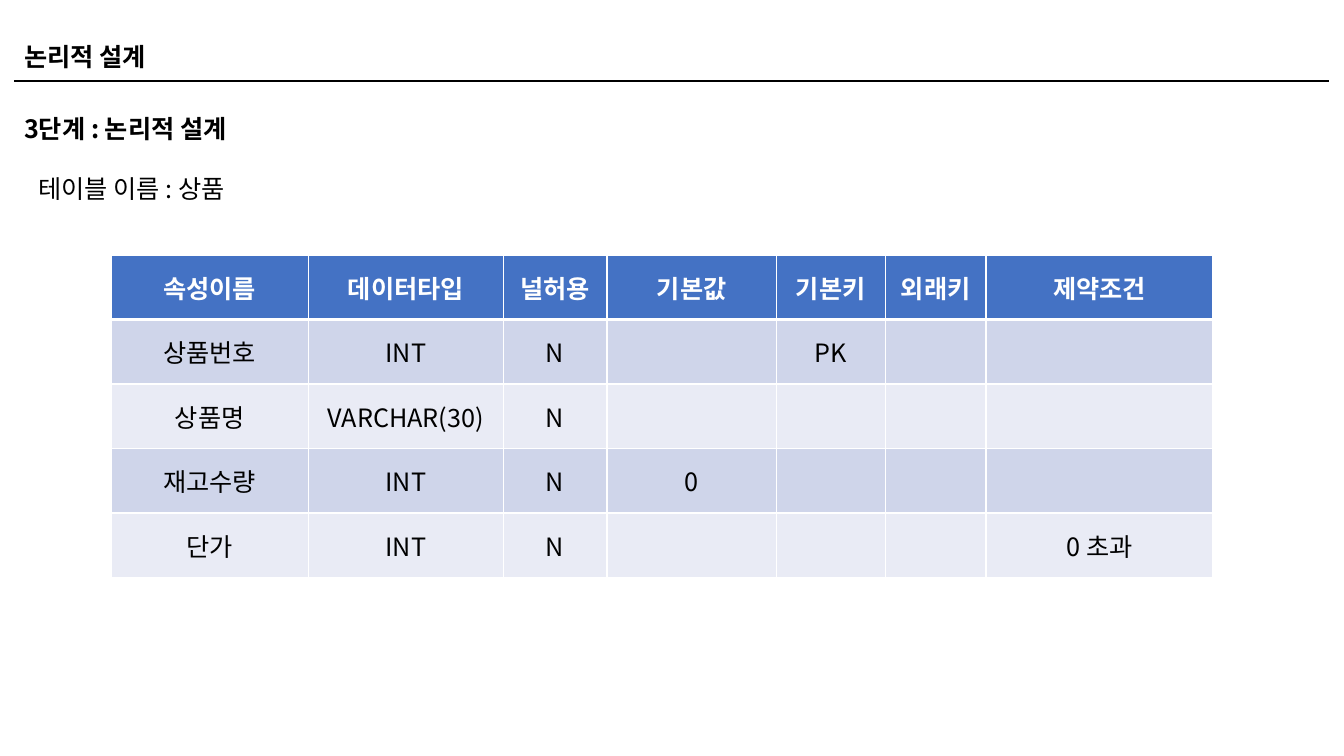
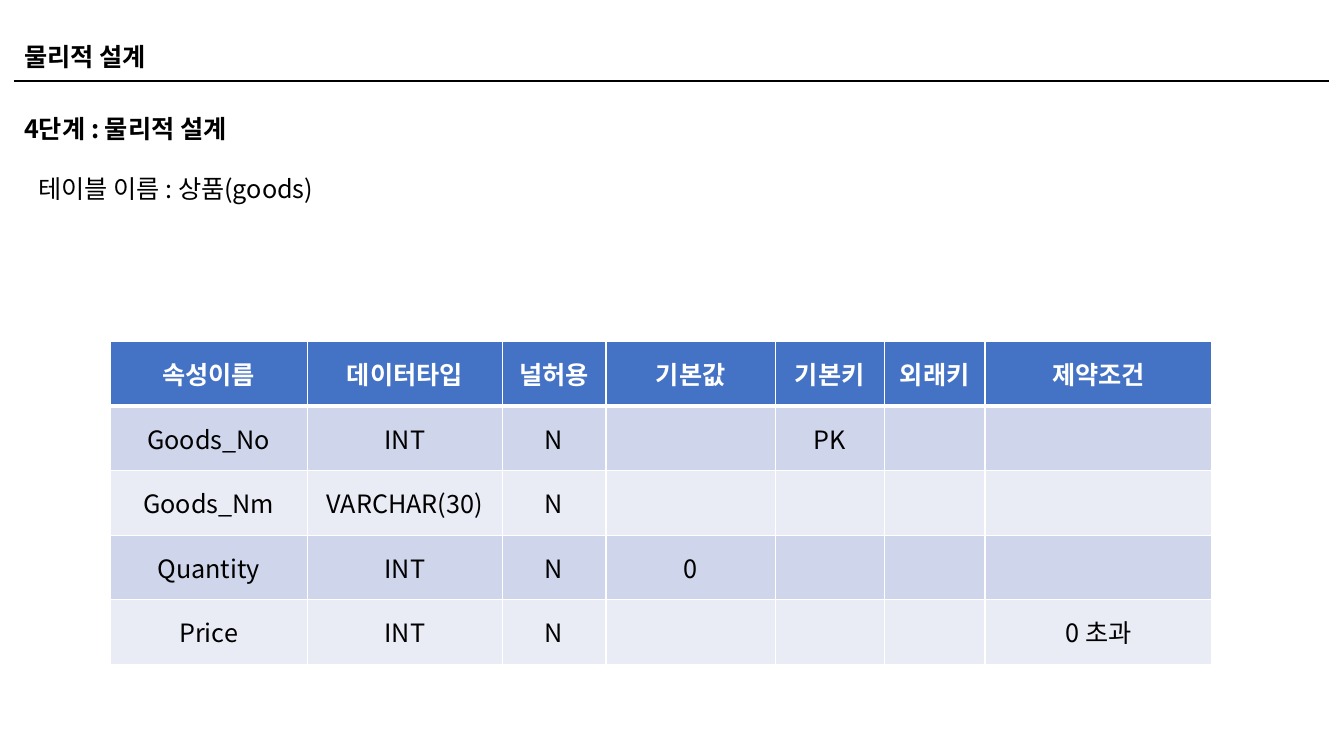
from lxml import etree
from pptx import Presentation
from pptx.dml.color import RGBColor
from pptx.enum.shapes import MSO_CONNECTOR
from pptx.enum.text import MSO_ANCHOR, PP_ALIGN
from pptx.oxml.ns import qn
from pptx.util import Inches, Pt

LINE = MSO_CONNECTOR.STRAIGHT
CENTER, LEFT = PP_ALIGN.CENTER, PP_ALIGN.LEFT
MIDDLE = MSO_ANCHOR.MIDDLE

# Shared style
FONT = "Noto Sans CJK KR"
BLACK, WHITE, BLUE = "000000", "FFFFFF", "4472C4"
BANDS = ["CFD5EA", "E9EBF5"]
BOLD = {"name": FONT, "size": Pt(18), "bold": True}
PLAIN = {**BOLD, "bold": False}
LEAD = Pt(21.6)

# Shared frame: left edge, width, rule height
EDGE, SPAN, RULE = 0.14, 13.04, 0.8
COLS = [1.96, 1.93, 1.03, 1.68, 1.08, 1, 2.25]
ROW = 0.64

HEADS = ["속성이름", "데이터타입", "널허용", "기본값", "기본키", "외래키", "제약조건"]
FIELDS = [
    ["INT", "N", "", "PK", "", ""],
    ["VARCHAR(30)", "N", "", "", "", ""],
    ["INT", "N", "0", "", "", ""],
    ["INT", "N", "", "", "", "0 초과"],
]
PAGES = [
    {"title": "논리적 설계", "step": "3단계 : 논리적 설계",
     "label": "테이블 이름 : 상품", "spot": (1.1, 2.53),
     "names": ["상품번호", "상품명", "재고수량", "단가"]},
    {"title": "물리적 설계", "step": "4단계 : 물리적 설계",
     "label": "테이블 이름 : 상품(goods)", "spot": (1.09, 3.39),
     "names": ["Goods_No", "Goods_Nm", "Quantity", "Price"]},
]


def color(code):
    return RGBColor.from_string(code)


def write(para, text, style, ink=BLACK, align=LEFT):
    para.alignment = align
    run = para.add_run()
    run.text = text
    for key, value in style.items():
        setattr(run.font, key, value)
    run.font.color.rgb = color(ink)
    # East Asian glyphs use the same font
    etree.SubElement(run.font._element, qn("a:ea"), typeface=FONT)


def add_text(slide, box, lines):
    """Each line is (text, style, space before, left indent)."""
    frame = slide.shapes.add_textbox(*map(Inches, box)).text_frame
    frame.word_wrap = True
    for i, (text, style, gap, indent) in enumerate(lines):
        para = frame.add_paragraph() if i else frame.paragraphs[0]
        para.line_spacing = LEAD
        para.space_before = gap
        para._p.get_or_add_pPr().set("marL", str(Inches(indent)))
        write(para, text, style)


def add_head(slide, title):
    line = slide.shapes.add_connector(
        LINE, *map(Inches, (EDGE, RULE, EDGE + SPAN, RULE)))
    line.line.color.rgb = color(BLACK)
    line.line.width = Pt(1.5)
    etree.SubElement(line._element.spPr, qn("a:effectLst"))
    add_text(slide, (EDGE, RULE - 0.44, SPAN, 0.4), [(title, BOLD, 0, 0)])


def add_edge(cell, side, width):
    edge = etree.SubElement(cell._tc.get_or_add_tcPr(), qn("a:ln" + side),
                            w=str(Pt(width)))
    fill = etree.SubElement(edge, qn("a:solidFill"))
    etree.SubElement(fill, qn("a:srgbClr"), val=WHITE)


def add_grid(slide, spot, rows):
    box = (*spot, sum(COLS), ROW * len(rows))
    table = slide.shapes.add_table(
        len(rows), len(COLS), *map(Inches, box)).table
    for col, width in zip(table.columns, COLS):
        col.width = Inches(width)
    for r, row in enumerate(rows):
        table.rows[r].height = Inches(ROW)
        fill = BANDS[(r - 1) % 2] if r else BLUE
        style, ink = (PLAIN, BLACK) if r else (BOLD, WHITE)
        # A thick edge parts the header from the body
        edges = {"L": 1, "R": 1, "T": 3 if r == 1 else 1, "B": 1 if r else 3}
        for c, text in enumerate(row):
            cell = table.cell(r, c)
            cell.vertical_anchor = MIDDLE
            for side, width in edges.items():
                add_edge(cell, side, width)
            cell.fill.solid()
            cell.fill.fore_color.rgb = color(fill)
            if text:
                write(cell.text_frame.paragraphs[0], text, style, ink, CENTER)


def add_page(deck, page):
    slide = deck.slides.add_slide(deck.slide_layouts[6])
    add_head(slide, page["title"])
    # Step and table name
    add_text(slide, (EDGE, 1.07, SPAN, 1.01), [
        (page["step"], BOLD, 0, 0),
        (page["label"], PLAIN, LEAD, 0.14),
    ])
    body = [[name, *field] for name, field in zip(page["names"], FIELDS)]
    add_grid(slide, page["spot"], [HEADS, *body])


def main():
    deck = Presentation()
    deck.slide_width, deck.slide_height = Inches(13.33), Inches(7.5)
    for page in PAGES:
        add_page(deck, page)
    deck.save("out.pptx")


if __name__ == "__main__":
    main()
